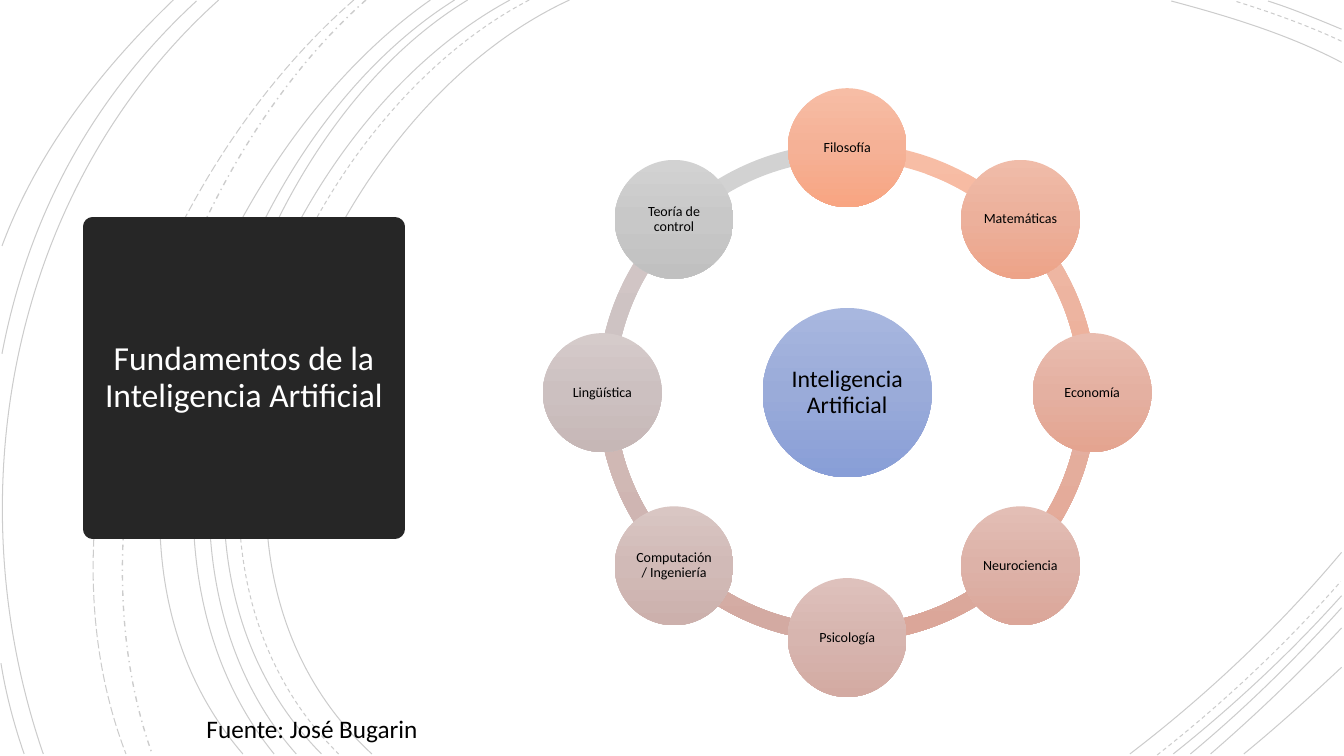
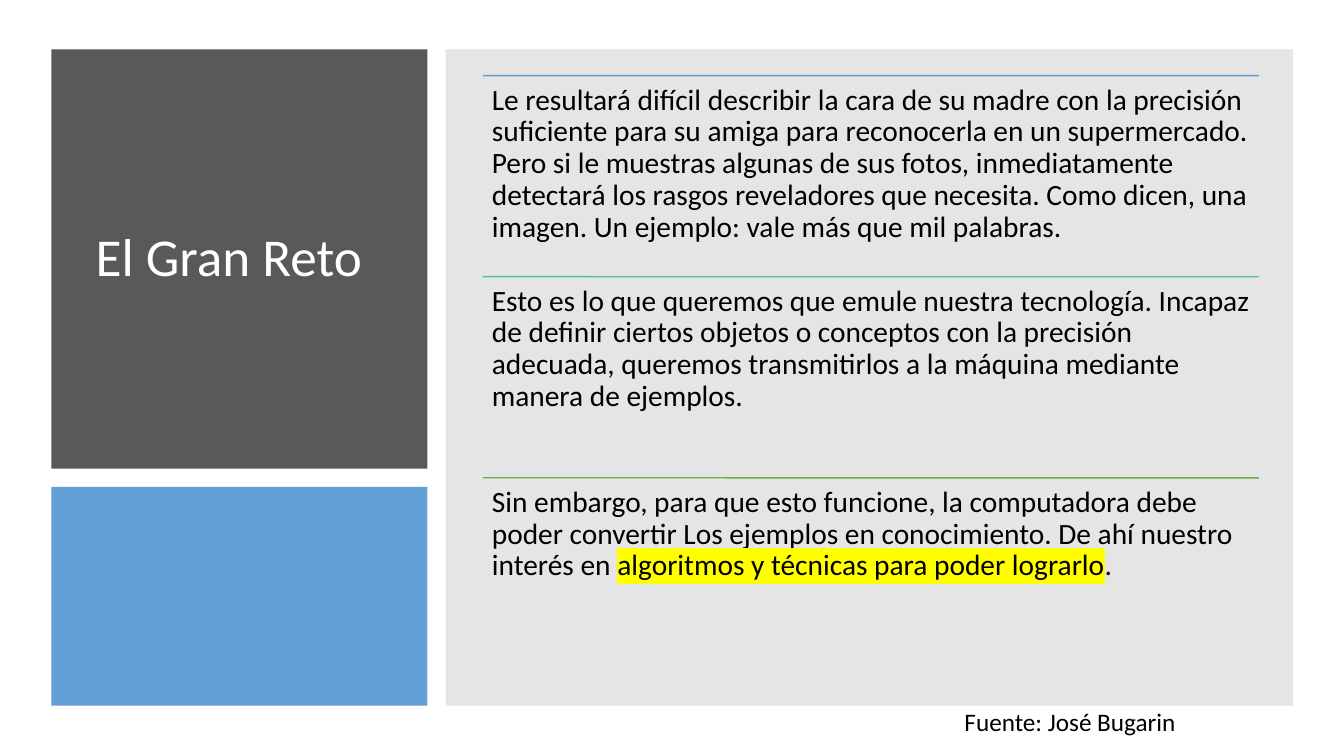
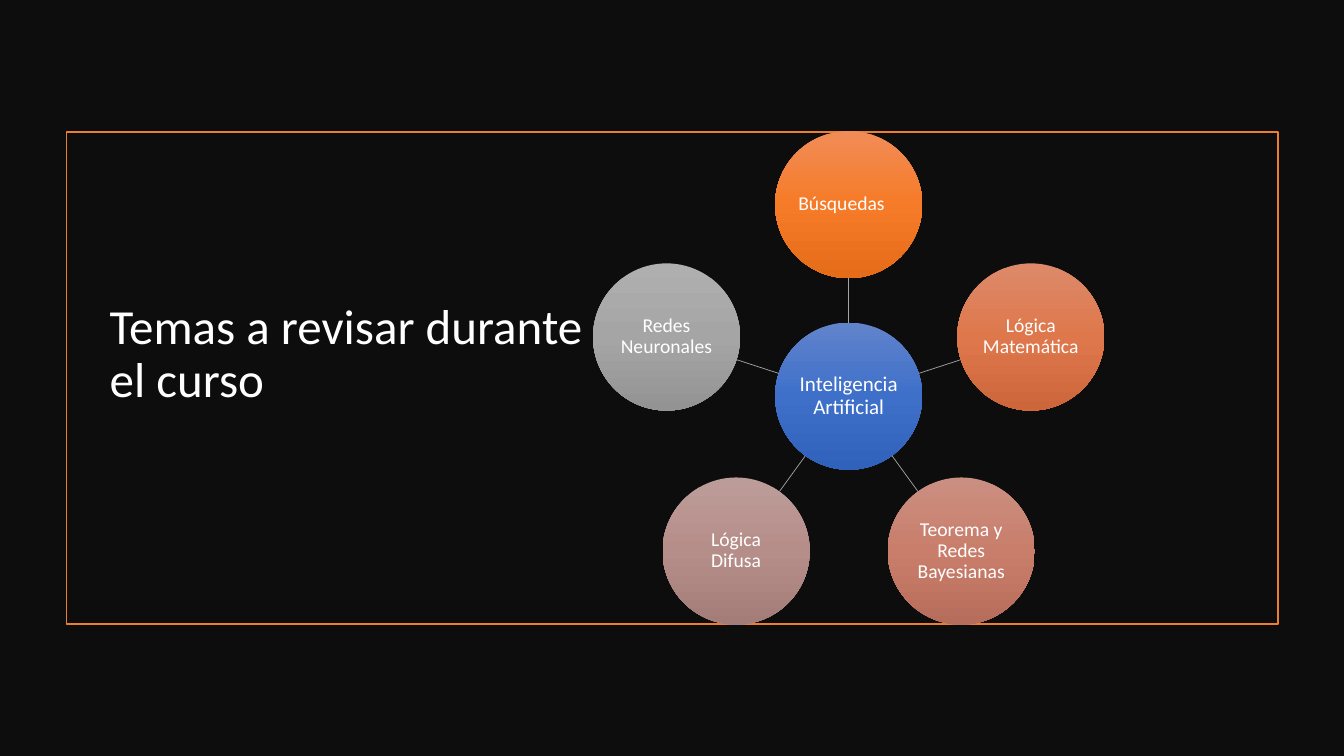
import copy
import math

from lxml import etree
from pptx import Presentation
from pptx import util as u
from pptx.dml.color import RGBColor
from pptx.enum import dml, shapes, text
from pptx.oxml.ns import qn

PX = 9144  # EMU; 100 px to the inch
WIDE, HIGH = 4000 / 3, 750
FONT = "Calibri"
SOURCE = "Fuente: José Bugarin"
KIND = shapes.MSO_SHAPE
DASH = dml.MSO_LINE
MID = text.MSO_ANCHOR.MIDDLE

C = {
    "black": "000000", "white": "FFFFFF", "night": "0D0D0D",
    "coal": "262626", "slate": "595959", "gray": "808080",
    "spoke": "A5A5A5", "blue": "5B9BD5", "teal": "4DC58D",
    "green": "70AD47", "orange": "ED7D31", "mark": "FFFF00",
    "pale hub": "A8B7DF 9AABD9 889ED7", "deep hub": "6183CB 3E70CA 3062BB",
}
HUB = "Inteligencia Artificial"
# Label and top, middle and bottom colour, clockwise from twelve
BASES = {
    "Filosofía": "F7BDA5 F5B196 F8A582",
    "Matemáticas": "F0BCA9 ECB09B EDA388",
    "Economía": "E9BCAF E4B0A1 E4A490",
    "Neurociencia": "E3BEB5 DDB2A8 DBA699",
    "Psicología": "DEC1BC D7B5AF D3AAA2",
    "Computación / Ingeniería": "D9C6C3 D1BAB7 CCB0AC",
    "Lingüística": "D5CBCA CCC0C0 C6B7B6",
    "Teoría de control": "D2D2D2 C8C8C8 C0C0C0",
}
TOPICS = {
    "Búsquedas\t": "F18C57 F67B28 E56C19",
    "Lógica Matemática": "DD8A6A DE774B CD673B",
    "Teorema y Redes Bayesianas": "CB8F81 C97E6B B76D5B",
    "Lógica Difusa": "BC9C99 B68E89 A47C78",
    "Redes Neuronales": "AFAFAF A5A5A5 939393",
}
# Asterisks enclose the highlighted words
NOTES = {
    "blue": "Le resultará difícil describir la cara de su madre con la "
            "precisión suficiente para su amiga para reconocerla en un "
            "supermercado. Pero si le muestras algunas de sus fotos, "
            "inmediatamente detectará los rasgos reveladores que necesita. "
            "Como dicen, una imagen. Un ejemplo: vale más que mil palabras.",
    "teal": "Esto es lo que queremos que emule nuestra tecnología. Incapaz "
            "de definir ciertos objetos o conceptos con la precisión "
            "adecuada, queremos transmitirlos a la máquina mediante manera "
            "de ejemplos.",
    "green": "Sin embargo, para que esto funcione, la computadora debe poder "
             "convertir Los ejemplos en conocimiento. De ahí nuestro interés "
             "en *algoritmos y técnicas para poder lograrlo*.",
}
# Start, two control points and end of each curve, by dash style
CURVES = {
    DASH.SOLID: [
        (565, 0, 315, 115, 143, 540, 369, 748),
        (1331, 62, 1278, 34, 1218, 16, 1162, 1),
        (1121, 748, 1197, 690, 1269, 622, 1331, 548),
        (506, 0, 270, 127, 110, 537, 319, 748),
        (1331, 29, 1307, 19, 1283, 9, 1258, 1),
        (1164, 748, 1223, 701, 1280, 648, 1331, 591),
        (464, 0, 244, 133, 110, 541, 294, 748),
        (1181, 748, 1234, 704, 1284, 655, 1331, 603),
        (451, 0, 231, 138, 97, 533, 272, 748),
        (1201, 748, 1246, 709, 1290, 667, 1331, 623),
        (427, 0, 217, 147, 53, 529, 241, 748),
        (1234, 748, 1267, 721, 1299, 692, 1331, 662),
        (217, 0, 11, 185, -46, 490, 43, 748),
        (195, 1, 92, 96, 28, 214, 2, 351),
        (1, 658, 6, 689, 14, 719, 24, 748),
        (172, 0, 100, 69, 37, 150, 2, 244),
    ],
    DASH.DASH: [
        (525, 0, 285, 125, 123, 537, 336, 748),
        (1331, 41, 1297, 25, 1260, 12, 1225, 1),
        (1148, 749, 1213, 698, 1275, 640, 1330, 577),
    ],
    DASH.DASH_DOT: [(363, 0, 176, 166, 65, 509, 151, 748)],
    DASH.LONG_DASH: [(351, 0, 157, 169, 29, 499, 125, 748)],
}


def rgb(name):
    return RGBColor.from_string(C[name])


def emu(*sizes):
    return [u.Emu(round(size * PX)) for size in sizes]


def fade(shape, percent):
    """Give every plain colour of the shape this opacity."""
    for node in shape._element.spPr.iter(qn("a:srgbClr")):
        etree.SubElement(node, qn("a:alpha"), val=str(percent * 1000))


def write(shape, words, size, color, inset=(10, 5), anchor=text.MSO_ANCHOR.TOP,
          align=text.PP_ALIGN.LEFT, gap=0.9):
    """Set one paragraph; words between asterisks are highlighted."""
    frame = shape.text_frame
    frame.word_wrap = True
    frame.vertical_anchor = anchor
    frame.margin_left = frame.margin_right = emu(inset[0])[0]
    frame.margin_top = frame.margin_bottom = emu(inset[1])[0]
    para = frame.paragraphs[0]
    para.alignment = align
    para.line_spacing = gap
    for i, piece in enumerate(words.split("*")):
        run = para.add_run()
        run.text = piece
        run.font.size = u.Pt(size)
        run.font.color.rgb = rgb(color)
        run.font.name = FONT
        if i % 2:
            mark = etree.Element(qn("a:highlight"))
            etree.SubElement(mark, qn("a:srgbClr"), val=C["mark"])
            run._r.rPr.find(qn("a:latin")).addprevious(mark)


def label(slide, box, words, size, color, **style):
    write(slide.shapes.add_textbox(*emu(*box)), words, size, color, **style)


def source(slide, left, top, width):
    label(slide, (left, top, width, 40), SOURCE, 18, "black", gap=1.0)


def block(slide, kind, box, fill=None):
    shape = slide.shapes.add_shape(kind, *emu(*box))
    shape.shadow.inherit = False
    shape.line.fill.background()
    if fill:
        shape.fill.solid()
        shape.fill.fore_color.rgb = rgb(fill)
    else:
        shape.fill.background()
    return shape


def shade(shape, colors):
    """Fill from top to bottom with three colours."""
    fill = shape.fill
    fill.gradient()
    fill.gradient_angle = 270
    stops = shape._element.spPr.find(qn("a:gradFill")).find(qn("a:gsLst"))
    stops.insert(1, copy.deepcopy(stops[0]))
    for stop, place, color in zip(fill.gradient_stops, (0, 0.5, 1),
                                  colors.split()):
        stop.position = place
        stop.color.rgb = RGBColor.from_string(color)


def disc(slide, x, y, size, colors, words, points, ink):
    box = (x - size / 2, y - size / 2, size, size)
    shape = block(slide, KIND.OVAL, box)
    shade(shape, colors)
    write(shape, words, points, ink, (1, 1), MID, text.PP_ALIGN.CENTER)


def polar(x, y, reach, angle):
    turn = math.radians(angle)
    return x + reach * math.cos(turn), y + reach * math.sin(turn)


def rule(slide, start, end, color, width):
    line = slide.shapes.add_connector(shapes.MSO_CONNECTOR.STRAIGHT,
                                      *emu(*start, *end))
    line.line.color.rgb = rgb(color)
    line.line.width = u.Pt(width)
    etree.SubElement(line._element.spPr, qn("a:effectLst"))


def curve(slide, points, dash):
    """Draw the outline of the control points, then make it one cubic curve."""
    spots = emu(*points)
    pairs = list(zip(spots[::2], spots[1::2]))
    pen = slide.shapes.build_freeform(*pairs[0])
    pen.add_line_segments(pairs[1:], close=False)
    shape = pen.convert_to_shape()
    legs = list(shape._element.spPr.iter(qn("a:lnTo")))
    bend = etree.Element(qn("a:cubicBezTo"))
    legs[0].addprevious(bend)
    for leg in legs:
        bend.append(leg[0])
        leg.getparent().remove(leg)
    shape.shadow.inherit = False
    shape.fill.background()
    shape.line.color.rgb = rgb("black")
    shape.line.width = u.Pt(1 if dash == DASH.DASH_DOT else 0.75)
    shape.line.dash_style = dash
    fade(shape, 20)


def bases(slide):
    for dash, group in CURVES.items():
        for points in group:
            curve(slide, points, dash)

    title = block(slide, KIND.RECTANGLE, (92, 225, 300, 300), "coal")
    title.line.color.rgb = rgb("coal")
    title.line.width = u.Pt(13.75)
    etree.SubElement(title._element.spPr.find(qn("a:ln")), qn("a:round"))
    write(title, "Fundamentos de la Inteligencia Artificial", 24, "white",
          anchor=MID, align=text.PP_ALIGN.CENTER)

    left, top, ring = 593, 142, 495
    x, y = left + ring / 2, top + ring / 2
    step = 360 / len(BASES)
    for i, colors in enumerate(BASES.values()):
        arc = block(slide, KIND.BLOCK_ARC, (left, top, ring, ring))
        shade(arc, colors)
        start = (270 + i * step) % 360
        # Angles are stored in 60000ths of a degree, adjustments in 100000ths
        arc.adjustments[0] = start * 0.6
        arc.adjustments[1] = (start + step) % 360 * 0.6
        arc.adjustments[2] = 0.034
    disc(slide, x, y, 168, C["pale hub"], HUB, 17, "black")
    for i, (words, colors) in enumerate(BASES.items()):
        disc(slide, *polar(x, y, 243, i * step - 90), 118, colors, words, 10,
             "black")
    source(slide, 195, 703, 422)


def goal(slide):
    block(slide, KIND.RECTANGLE, (51, 49, 373, 416), "slate")
    label(slide, (85, 80, 311, 354), "El Gran Reto", 38, "white", anchor=MID)
    fade(block(slide, KIND.RECTANGLE, (51, 483, 373, 217), "blue"), 95)
    fade(block(slide, KIND.RECTANGLE, (442, 49, 841, 651), "gray"), 20)
    left, width, high = 479, 770, 399 / 2
    slope = 0.1  # keeps level rules from being drawn as hairlines
    for i, (color, words) in enumerate(NOTES.items()):
        top = 75 + i * high
        rule(slide, (left, top), (left + width, top + slope), color, 1)
        label(slide, (left, top, width, high), words, 21, "black",
              inset=(9, 9))
    source(slide, 947, 696, 232)


def topics(slide):
    block(slide, KIND.RECTANGLE, (0, 0, WIDE, HIGH), "night")
    title = block(slide, KIND.RECTANGLE, (99, 149, 504, 261))
    write(title, "Temas a revisar durante el curso", 35, "white",
          anchor=text.MSO_ANCHOR.BOTTOM)
    frame = block(slide, KIND.RECTANGLE, (66, 131, 1202, 488))
    frame.line.color.rgb = rgb("orange")
    frame.line.width = u.Pt(1)

    x, y, size, reach = 842, 393, 146, 190
    disc(slide, x, y, size, C["deep hub"], HUB, 15, "white")
    for i, (words, colors) in enumerate(TOPICS.items()):
        angle = i * 360 / len(TOPICS) - 90
        rule(slide, polar(x, y, size / 2, angle),
             polar(x, y, reach - size / 2, angle), "spoke", 0.5)
        disc(slide, *polar(x, y, reach, angle), size, colors, words, 14,
             "white")


def main():
    deck = Presentation()
    deck.slide_width, deck.slide_height = emu(WIDE, HIGH)
    for draw in (bases, goal, topics):
        draw(deck.slides.add_slide(deck.slide_layouts[6]))
    deck.save("out.pptx")


if __name__ == "__main__":
    main()
